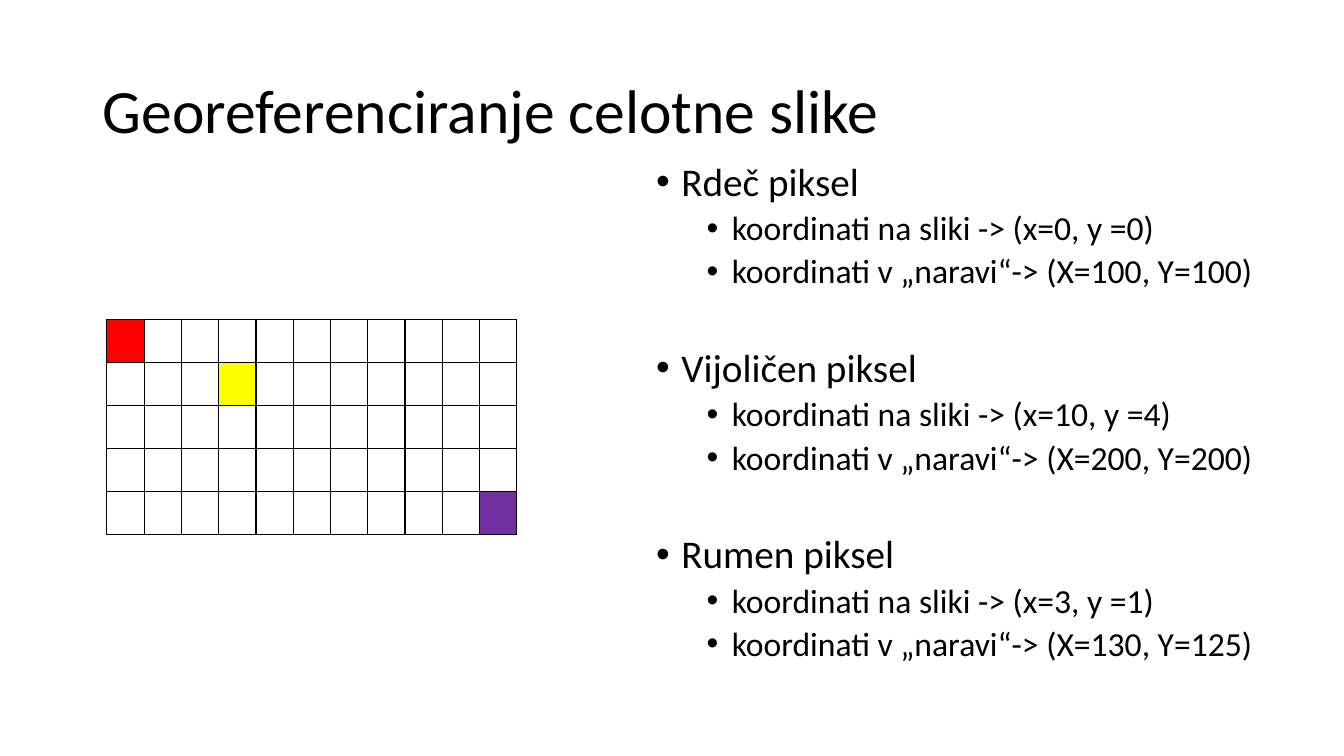
from lxml.etree import SubElement
from pptx import Presentation
from pptx.dml.color import RGBColor
from pptx.enum.text import MSO_ANCHOR, MSO_AUTO_SIZE, PP_ALIGN
from pptx.oxml.ns import qn
from pptx.util import Pt

PX = 9144  # EMU per px, 100 px to the inch
BLACK = RGBColor(0x00, 0x00, 0x00)
WHITE = RGBColor(0xFF, 0xFF, 0xFF)
RED = RGBColor(0xFF, 0x00, 0x00)
YELLOW = RGBColor(0xFF, 0xFF, 0x00)
VIOLET = RGBColor(0x70, 0x30, 0xA0)
FONT = "Calibri"


def box(left, top, width, height):
    return [n * PX for n in (left, top, width, height)]


def style(paragraph, size, space_before):
    paragraph.line_spacing = 0.9
    paragraph.space_before = Pt(space_before)
    paragraph.font.name = FONT
    paragraph.font.size = Pt(size)
    paragraph.font.color.rgb = BLACK


prs = Presentation()
prs.slide_width, prs.slide_height = 1333 * PX, 750 * PX
slide = prs.slides.add_slide(prs.slide_layouts[5])

# Title
title = slide.shapes.title
title.left, title.top, title.width, title.height = box(92, 40, 1150, 145)
title.text_frame.text = "Georeferenciranje celotne slike"
title.text_frame.vertical_anchor = MSO_ANCHOR.MIDDLE
title.text_frame.auto_size = MSO_AUTO_SIZE.NONE
title.text_frame.paragraphs[0].alignment = PP_ALIGN.LEFT
style(title.text_frame.paragraphs[0], 44, 0)

# Pixel grid, coloured by (column, row)
COLUMNS, ROWS = 11, 5
pixel_colors = {(0, 0): RED, (3, 1): YELLOW, (10, 4): VIOLET}
grid = slide.shapes.add_table(ROWS, COLUMNS, *box(106, 317, 407, 213)).table
grid.first_row = grid.horz_banding = False
for y in range(ROWS):
    for x in range(COLUMNS):
        pixel = grid.cell(y, x)
        pixel_props = pixel._tc.get_or_add_tcPr()
        for side in ("a:lnL", "a:lnR", "a:lnT", "a:lnB"):
            border = SubElement(pixel_props, qn(side), w=str(Pt(1)))
            border_fill = SubElement(border, qn("a:solidFill"))
            SubElement(border_fill, qn("a:srgbClr"), val=str(BLACK))
        pixel.fill.solid()
        pixel.fill.fore_color.rgb = pixel_colors.get((x, y), WHITE)

# Coordinates of each coloured pixel: name, image position, ground position
pixels = [
    ("Rdeč", (0, 0), (100, 100)),
    ("Vijoličen", (10, 4), (200, 200)),
    ("Rumen", (3, 1), (130, 125)),
]
coordinates = slide.shapes.add_textbox(*box(641, 156, 663, 582)).text_frame
coordinates.word_wrap = True
for index, (name, (x, y), (ground_x, ground_y)) in enumerate(pixels):
    lines = [
        (f"{name} piksel", 0),
        (f"koordinati na sliki -> (x={x}, y ={y})", 1),
        (f"koordinati v „naravi“-> (X={ground_x}, Y={ground_y})", 1),
    ]
    for text, level in lines:
        first = index == 0 and level == 0
        line = coordinates.paragraphs[0] if first else coordinates.add_paragraph()
        line.text = text
        line.level = level
        line_props = line._p.get_or_add_pPr()
        line_props.set("marL", str((75 if level else 25) * PX))
        line_props.set("indent", str(-25 * PX))
        SubElement(line_props, qn("a:buFont"), typeface="Arial")
        SubElement(line_props, qn("a:buChar"), char="•")
        if level:
            style(line, 24, 5)
        else:
            # Later groups stand one 24 pt line further down
            style(line, 28, 10 if first else 41)

prs.save("out.pptx")
